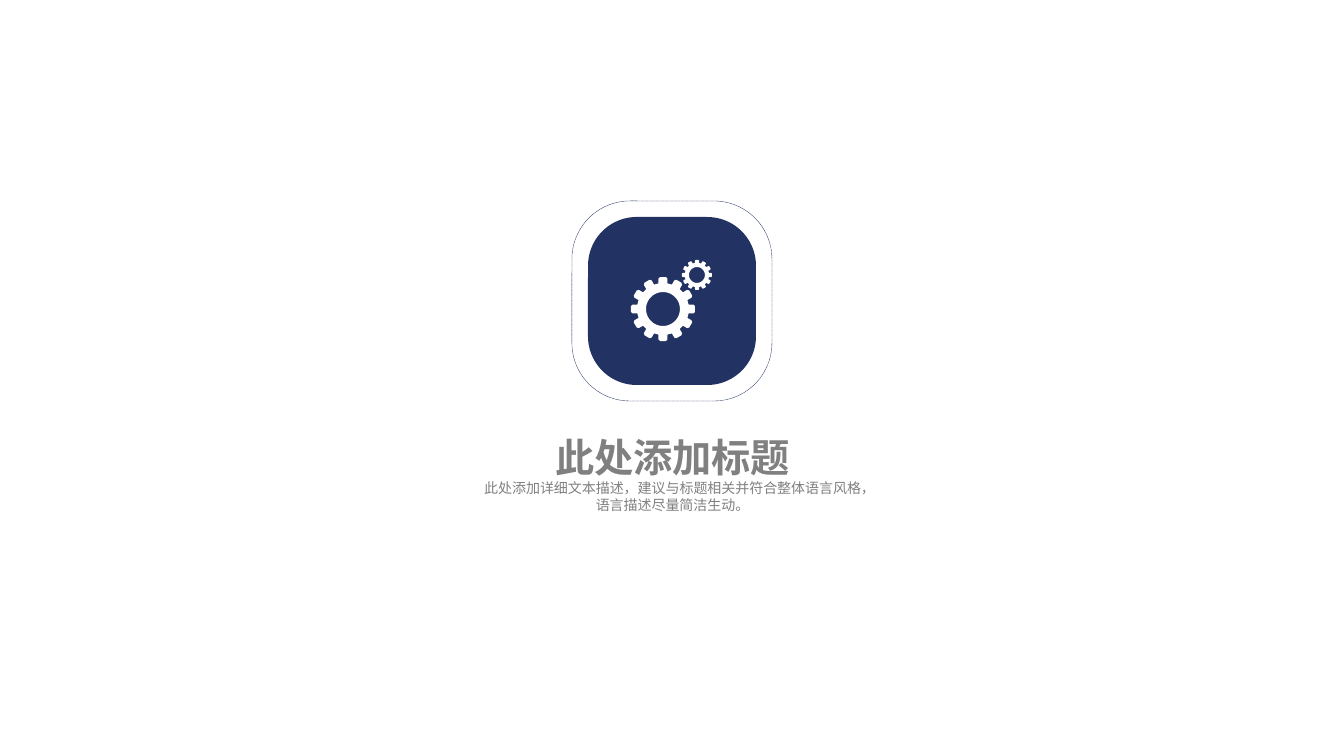
"""Build a slide with a gear emblem above a centred title and description."""
from math import cos, hypot, pi, sin, atan2

from lxml import etree
from pptx import Presentation
from pptx.dml.color import RGBColor
from pptx.enum.dml import MSO_LINE
from pptx.enum.lang import MSO_LANGUAGE_ID
from pptx.enum.shapes import MSO_SHAPE
from pptx.enum.text import MSO_ANCHOR, MSO_AUTO_SIZE, PP_ALIGN
from pptx.oxml.ns import qn
from pptx.util import Emu, Pt

ROUNDED = MSO_SHAPE.ROUNDED_RECTANGLE
DASH = MSO_LINE.SQUARE_DOT
CENTER = PP_ALIGN.CENTER
TOP = MSO_ANCHOR.TOP
FIXED = MSO_AUTO_SIZE.NONE
CHINESE = MSO_LANGUAGE_ID.SIMPLIFIED_CHINESE

PX = 12192000 / 1344
FONT = "Noto Sans CJK SC"
NAVY, WHITE, GRAY = "223262", "FFFFFF", "808080"

TITLE = "此处添加标题"
DESCRIPTION = "此处添加详细文本描述，建议与标题相关并符合整体语言风格，语言描述尽量简洁生动。"
TEXT_BOX = (470, 425, 405, 92)
EMBLEM_CENTER = (672, 301)
PANELS = [
    {"size": 168, "fill": NAVY},
    {"size": 200, "line": NAVY},
]
CORNER = 0.29
GEARS = [
    {"center": (663, 309), "radius": 32},
    {"center": (697, 275), "radius": 15},
]
TEETH = 12
TOOTH = [(-0.14, 0.8), (-0.14, 0.95), (-0.09, 1), (0.09, 1), (0.14, 0.95), (0.14, 0.8)]
HOLE = 0.53
HOLE_SIDES = 48


def px(length):
    return Emu(round(length * PX))


def color(hex_code):
    return RGBColor.from_string(hex_code)


def paint(shape, fill=None, line=None):
    shape.shadow.inherit = False
    if fill:
        shape.fill.solid()
        shape.fill.fore_color.rgb = color(fill)
    else:
        shape.fill.background()
    if line:
        shape.line.color.rgb = color(line)
        shape.line.width = Pt(0.25)
        shape.line.dash_style = DASH
    else:
        shape.line.fill.background()


def write(para, text, size, bold=False, ink=GRAY):
    para.alignment = CENTER
    para.line_spacing = Pt(size * 1.2)
    para.space_before = Pt(0)
    span = para.add_run()
    span.text = text
    font = span.font
    font.size, font.bold, font.name = Pt(size), bold, FONT
    font.color.rgb = color(ink)
    font.language_id = CHINESE
    etree.SubElement(span._r.get_or_add_rPr(), qn("a:ea"), typeface=FONT)


def add_panel(page, size, fill=None, line=None):
    left, top = (middle - size / 2 for middle in EMBLEM_CENTER)
    panel = page.shapes.add_shape(ROUNDED, px(left), px(top), px(size), px(size))
    panel.adjustments[0] = CORNER
    paint(panel, fill, line)


def add_gear(page, center, radius):
    def place(angle, reach):
        return (px(center[0] + radius * reach * sin(angle)),
                px(center[1] - radius * reach * cos(angle)))

    step = 2 * pi / TEETH
    rim = [place(tooth * step + atan2(across, out), hypot(across, out))
           for tooth in range(TEETH) for across, out in TOOTH]
    hole = [place(-2 * pi * side / HOLE_SIDES, HOLE) for side in range(HOLE_SIDES)]
    builder = page.shapes.build_freeform(*rim[0])
    builder.add_line_segments(rim[1:], close=True)
    builder.move_to(*hole[0])
    builder.add_line_segments(hole[1:], close=True)
    paint(builder.convert_to_shape(), fill=WHITE)


def add_text(page):
    box = page.shapes.title
    box.left, box.top, box.width, box.height = map(px, TEXT_BOX)
    frame = box.text_frame
    frame.word_wrap = True
    frame.auto_size = FIXED
    frame.vertical_anchor = TOP
    frame.margin_left = frame.margin_right = px(10)
    frame.margin_top, frame.margin_bottom = px(8), px(2)
    write(frame.paragraphs[0], TITLE, size=28, bold=True)
    write(frame.add_paragraph(), DESCRIPTION, size=10)


def main():
    deck = Presentation()
    deck.slide_width, deck.slide_height = px(1344), px(756)
    page = deck.slides.add_slide(deck.slide_layouts[5])
    add_text(page)
    for panel in PANELS:
        add_panel(page, **panel)
    for gear in GEARS:
        add_gear(page, **gear)
    deck.save("out.pptx")


if __name__ == "__main__":
    main()
